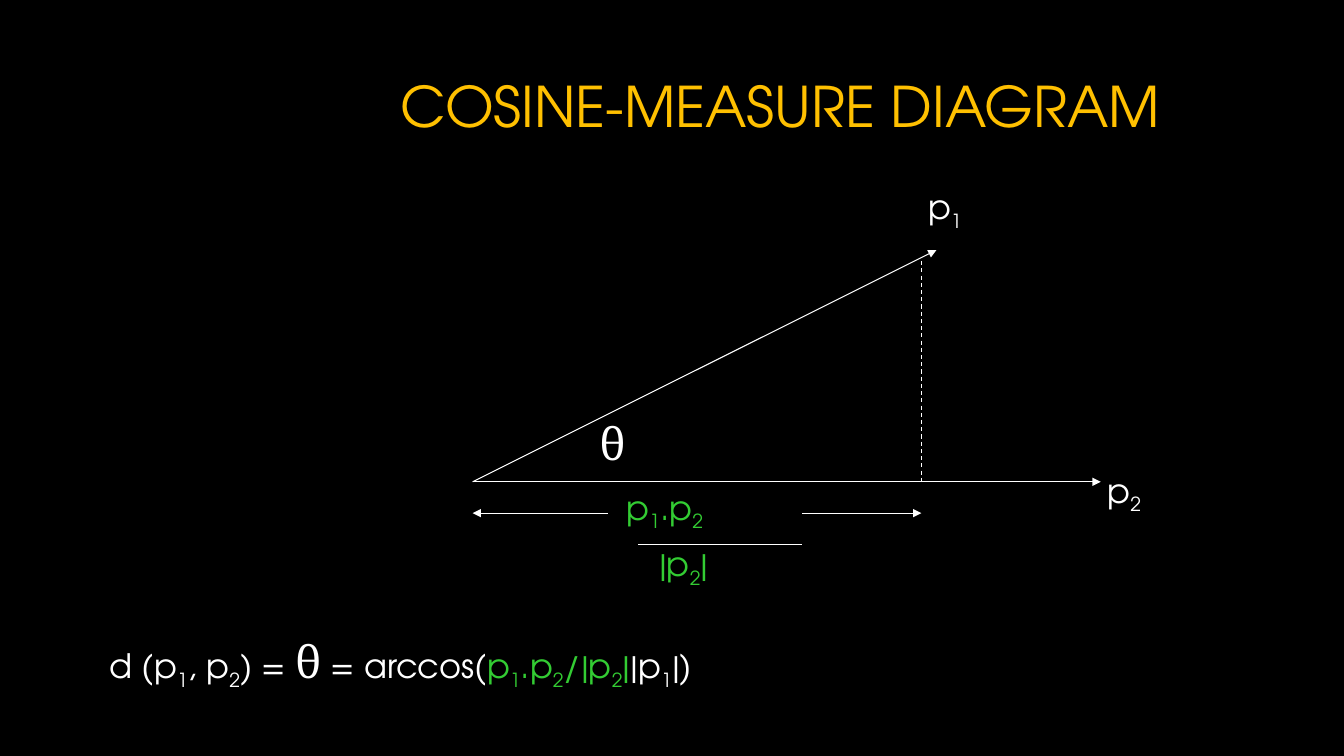
from dataclasses import dataclass

from pptx import Presentation
from pptx.dml.color import RGBColor
from pptx.enum import dml, shapes, text
from pptx.oxml.ns import qn
from pptx.util import Cm, Pt
from lxml import etree


@dataclass(frozen=True)
class Theme:
    back: RGBColor = RGBColor(0, 0, 0)
    title: RGBColor = RGBColor(0xFF, 0xC0, 0x00)
    ink: RGBColor = RGBColor(0xFF, 0xFF, 0xFF)
    projection: RGBColor = RGBColor(0x33, 0xCC, 0x33)
    font: str = "TeX Gyre Adventor"
    greek_font: str = "Cambria"
    title_size: Pt = Pt(40)
    size: Pt = Pt(24)
    greek_size: Pt = Pt(32)
    line_width: Pt = Pt(0.75)


theme = Theme()


def add_line(x1, y1, x2, y2, arrow=False, dashed=False):
    c = s.shapes.add_connector(shapes.MSO_CONNECTOR.STRAIGHT, Cm(x1), Cm(y1), Cm(x2), Cm(y2))
    c.line.color.rgb = theme.ink
    c.line.width = theme.line_width
    if dashed:
        c.line.dash_style = dml.MSO_LINE.DASH
    if arrow:
        etree.SubElement(c.line._get_or_add_ln(), qn("a:tailEnd"), type="triangle")
    etree.SubElement(c._element.spPr, qn("a:effectLst"))


def add_label(x, y, w, h, parts):
    """Write (text, colour) parts; digits become subscripts, theta is larger."""
    tf = s.shapes.add_textbox(Cm(x), Cm(y), Cm(w), Cm(h)).text_frame
    tf.word_wrap = True
    tf.auto_size = text.MSO_AUTO_SIZE.SHAPE_TO_FIT_TEXT
    for words, color in parts:
        r = tf.paragraphs[0].add_run()
        r.text = words
        greek = words == "θ"
        r.font.name = theme.greek_font if greek else theme.font
        r.font.size = theme.greek_size if greek else theme.size
        r.font.color.rgb = color
        if words.isdigit():
            r._r.get_or_add_rPr().set("baseline", "-25000")


# Slide
prs = Presentation()
prs.slide_width, prs.slide_height = Cm(33.87), Cm(19.05)
s = prs.slides.add_slide(prs.slide_layouts[5])
s.background.fill.solid()
s.background.fill.fore_color.rgb = theme.back

# Title
title = s.shapes.title
title.left, title.top, title.width, title.height = Cm(7.7), Cm(1.37), Cm(23.93), Cm(2.77)
tf = title.text_frame
tf.text = "COSINE-MEASURE DIAGRAM"
tf.vertical_anchor = text.MSO_ANCHOR.MIDDLE
p = tf.paragraphs[0]
p.alignment = text.PP_ALIGN.CENTER
p.line_spacing = 0.9
f = p.runs[0].font
f.name, f.size, f.color.rgb = theme.font, theme.title_size, theme.title

# Vectors from a shared origin, and the foot of the projection
origin_x, base_y = 11.91, 12.14
foot_x = 23.22
add_line(origin_x, base_y, 23.6, 6.3, arrow=True)
add_line(origin_x, base_y, 27.74, base_y, arrow=True)
add_line(foot_x, 6.58, foot_x, base_y, dashed=True)

# Projection length: outward arrows and fraction bar
measure_y, bar_y, bar_end = 12.93, 13.72, 20.22
add_line(15.32, measure_y, origin_x, measure_y, arrow=True)
add_line(bar_end, measure_y, foot_x, measure_y, arrow=True)
add_line(16.08, bar_y, bar_end, bar_y)

# Labels
ink, green = theme.ink, theme.projection
add_label(23.14, 4.57, 1.88, 1.6, [("p", ink), ("1", ink)])
add_label(27.66, 11.71, 1.88, 1.6, [("p", ink), ("2", ink)])
add_label(14.86, 10.34, 1.47, 2.03, [("θ", ink)])
dot_product = [("p", green), ("1", green), (".p", green), ("2", green)]
add_label(15.54, base_y, 3.4, 1.6, dot_product)
add_label(16.36, 13.56, 3.43, 1.6, [("|p", green), ("2", green), ("|", green)])

# Formula
add_label(2.51, 15.85, 22.4, 2.03, [
    ("d (p", ink), ("1", ink), (", p", ink), ("2", ink), (") = ", ink),
    ("θ", ink), (" = arccos(", ink),
    *dot_product, ("/|p", green), ("2", green), ("|", green),
    ("|p", ink), ("1", ink), ("|)", ink),
])

prs.save("out.pptx")
